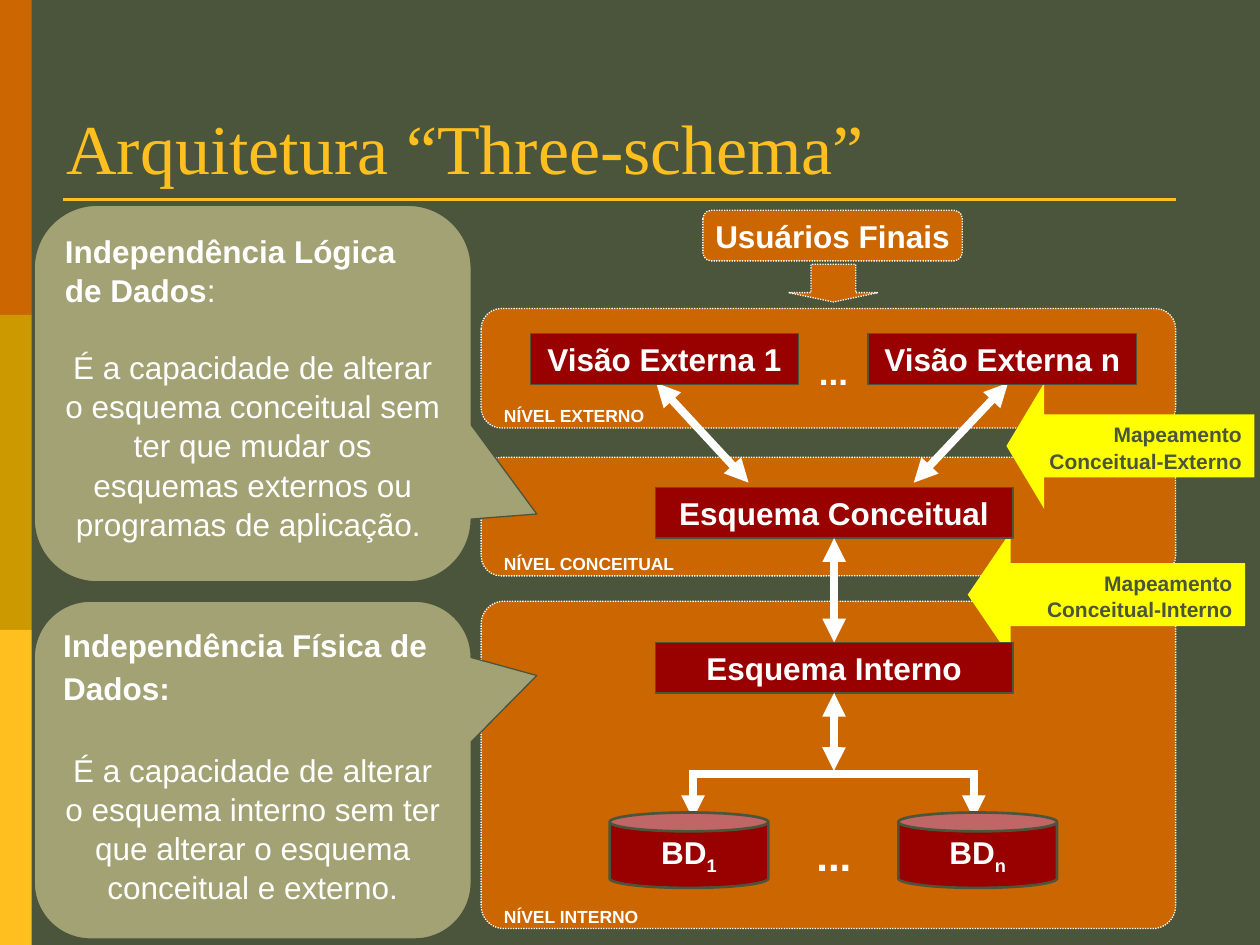
from lxml import etree
from pptx import Presentation, util as u
from pptx.dml.color import RGBColor
from pptx.enum import dml, shapes, text
from pptx.oxml import ns

COLORS = {"olive": "4A553B", "orange": "CC6600", "mustard": "CC9900", "gold": "FFBF1F",
          "yellow": "FFFF00", "sage": "A3A274", "maroon": "990000", "white": "FFFFFF"}
FRAME = {"margin_left": u.Cm(0.25), "margin_right": u.Cm(0.25),
         "margin_top": u.Cm(0.13), "margin_bottom": u.Cm(0.13)}
KIND = shapes.MSO_SHAPE
ALIGN = text.PP_ALIGN
ANCHOR = text.MSO_ANCHOR


def color(name):
    return RGBColor.from_string(COLORS[name])


def apply(target, values):
    for key, value in values.items():
        setattr(target, key, value)


class Diagram:
    def __init__(self, slide, font="Arial"):
        self.slide = slide
        self.font = font

    def run(self, paragraph, words, size, ink="white", bold=True, font=None, baseline=None):
        run = paragraph.add_run()
        run.text = words
        apply(run.font, {"size": u.Pt(size), "bold": bold, "name": font or self.font})
        run.font.color.rgb = color(ink)
        if baseline:
            run.font._element.set("baseline", str(baseline))

    def frame(self, shape, anchor=ANCHOR.TOP, wrap=True):
        apply(shape.text_frame, {**FRAME, "vertical_anchor": anchor, "word_wrap": wrap})
        return shape.text_frame

    def title(self, words, box):
        title = self.slide.shapes.title
        apply(title, dict(zip(("left", "top", "width", "height"), map(u.Cm, box))))
        paragraph = self.frame(title, ANCHOR.BOTTOM).paragraphs[0]
        paragraph.alignment = ALIGN.LEFT
        self.run(paragraph, words, 40, "gold", False, "Times New Roman")

    def block(self, kind, box, fill, outline=None, width=0.75, adjust=(), dotted=False):
        shape = self.slide.shapes.add_shape(kind, *map(u.Cm, box))
        shape.shadow.inherit = False
        shape.fill.solid()
        shape.fill.fore_color.rgb = color(fill)
        if outline:
            shape.line.color.rgb = color(outline)
            shape.line.width = u.Pt(width)
            if dotted:
                shape.line.dash_style = dml.MSO_LINE.ROUND_DOT
        else:
            shape.line.fill.background()
        for index, value in enumerate(adjust):
            shape.adjustments[index] = value
        return shape

    def label(self, words, box, size, wrap=True):
        note = self.slide.shapes.add_textbox(*map(u.Cm, box))
        self.run(self.frame(note, wrap=wrap).paragraphs[0], words, size)

    def schema(self, words, left, top, width):
        box = self.block(KIND.RECTANGLE, (left, top, width, 1.02), "maroon", "olive")
        paragraph = self.frame(box).paragraphs[0]
        paragraph.alignment = ALIGN.CENTER
        self.run(paragraph, words, 18)
        return box

    def mapping(self, lines, box, tip):
        arrow = self.block(KIND.RIGHT_ARROW, box, "yellow", adjust=(0.5, tip))
        arrow._element.spPr.xfrm.set("flipH", "1")
        frame = self.frame(arrow)
        for index, line in enumerate(lines):
            paragraph = frame.add_paragraph() if index else frame.paragraphs[0]
            apply(paragraph, {"alignment": ALIGN.RIGHT, "line_spacing": 1.04})
            self.run(paragraph, line, 12, "olive")

    def callout(self, box, pointer, heading, body, gap):
        bubble = self.block(KIND.ROUNDED_RECTANGULAR_CALLOUT, box, "sage", "olive",
                            adjust=(*pointer, 0.167))
        frame = self.frame(bubble)
        lead, detail = frame.paragraphs[0], frame.add_paragraph()
        apply(lead, {"alignment": ALIGN.LEFT, "line_spacing": 1.04})
        apply(detail, {"alignment": ALIGN.CENTER, "line_spacing": 1.04,
                       "space_before": u.Pt(gap)})
        for words, size, bold in heading:
            self.run(lead, words, size, bold=bold)
        self.run(detail, body, 18, bold=False)

    def database(self, index, left):
        can = self.block(KIND.CAN, (left, 16.38, 3.2, 1.52), "maroon", "olive", 1.5, (0.25,))
        paragraph = self.frame(can, ANCHOR.MIDDLE, False).paragraphs[0]
        paragraph.alignment = ALIGN.CENTER
        self.run(paragraph, "BD", 18)
        self.run(paragraph, index, 18, baseline=-25000)

    def line(self, start, end, ink="white", width=4.5, heads=(), begin=None, finish=None):
        link = self.slide.shapes.add_connector(shapes.MSO_CONNECTOR.STRAIGHT,
                                               *map(u.Cm, (*start, *end)))
        link.line.color.rgb = color(ink)
        link.line.width = u.Pt(width)
        for head in heads:
            etree.SubElement(link.line._get_or_add_ln(), ns.qn(f"a:{head}"), type="triangle")
        etree.SubElement(link._element.spPr, ns.qn("a:effectLst"))
        if begin:
            link.begin_connect(begin, 2)
        if finish:
            link.end_connect(finish, 0)


def main():
    deck = Presentation()
    apply(deck, {"slide_width": u.Cm(25.4), "slide_height": u.Cm(19.05)})
    slide = deck.slides.add_slide(deck.slide_layouts[5])
    slide.background.fill.solid()
    slide.background.fill.fore_color.rgb = color("olive")
    diagram = Diagram(slide)
    both = ("headEnd", "tailEnd")

    for row, band in enumerate(("orange", "mustard", "gold")):
        diagram.block(KIND.RECTANGLE, (0, row * 6.35, 0.64, 6.35), band)
    diagram.line((1.27, 4.02), (23.7, 4.02), "gold", 1.5)
    diagram.title("Arquitetura “Three-schema”", (1.09, 1.98, 21.79, 1.96))

    levels = (("NÍVEL INTERNO", 12.12, 6.6, 0.07, 18.14),
              ("NÍVEL CONCEITUAL", 9.22, 2.39, 0.17, 11.02),
              ("NÍVEL EXTERNO", 6.22, 2.41, 0.17, 8.03))
    for level, top, height, corner, label_top in levels:
        diagram.block(KIND.ROUNDED_RECTANGLE, (9.7, top, 14, height), "orange", "white",
                      adjust=(corner,), dotted=True)
        diagram.label(level, (9.91, label_top, 4.01, 0.69), 10)

    users = diagram.block(KIND.FLOWCHART_ALTERNATE_PROCESS, (14.17, 4.24, 5.23, 1.02),
                          "orange", "white", dotted=True)
    audience = diagram.frame(users, ANCHOR.MIDDLE, False).paragraphs[0]
    audience.alignment = ALIGN.CENTER
    diagram.run(audience, "Usuários Finais", 18)
    diagram.block(KIND.DOWN_ARROW, (15.9, 5.33, 1.8, 0.76), "orange", "white",
                  adjust=(0.5, 0.25), dotted=True)

    diagram.mapping(("Mapeamento", "Conceitual-Interno"), (19.51, 10.72, 5.59, 2.54), 0.34)
    diagram.mapping(("Mapeamento", "Conceitual-Externo"), (20.29, 7.72, 5, 2.54), 0.3)

    diagram.callout((0.69, 12.12, 8.81, 6.81), (0.65, -0.28),
                    (("Independência Física de Dados:", 18, True), (" ", 20, False)),
                    "É a capacidade de alterar o esquema interno sem ter que alterar "
                    "o esquema conceitual e externo.", 24)
    diagram.callout((0.69, 4.14, 8.81, 7.59), (0.65, 0.32),
                    (("Independência Lógica de Dados", 18, True), (":", 18, False)),
                    "É a capacidade de alterar o esquema conceitual sem ter que mudar "
                    "os esquemas externos ou programas de aplicação. ", 21.5)

    diagram.line((13.23, 7.72), (15.09, 9.73), heads=both)
    diagram.line((20.32, 7.72), (18.42, 9.73), heads=both)
    diagram.schema("Visão Externa 1", 10.69, 6.73, 5.41)
    diagram.schema("Visão Externa n", 17.5, 6.73, 5.41)
    conceptual = diagram.schema("Esquema Conceitual", 13.21, 9.83, 7.21)
    internal = diagram.schema("Esquema Interno", 13.21, 12.95, 7.21)
    diagram.line((16.81, 10.85), (16.81, 12.95), heads=both, begin=conceptual, finish=internal)
    diagram.line((16.81, 13.97), (16.81, 15.54), heads=both, begin=internal)

    diagram.line((13.89, 15.6), (19.71, 15.6))
    for index, drop, left in (("1", 13.97, 12.29), ("n", 19.63, 18.11)):
        diagram.line((drop, 15.6), (drop, 16.51), heads=("tailEnd",))
        diagram.database(index, left)

    diagram.label("...", (16.26, 6.93, 1.09, 1.12), 20, False)
    diagram.label("...", (16.21, 16.59, 1.22, 1.27), 24, False)
    deck.save("out.pptx")


if __name__ == "__main__":
    main()
